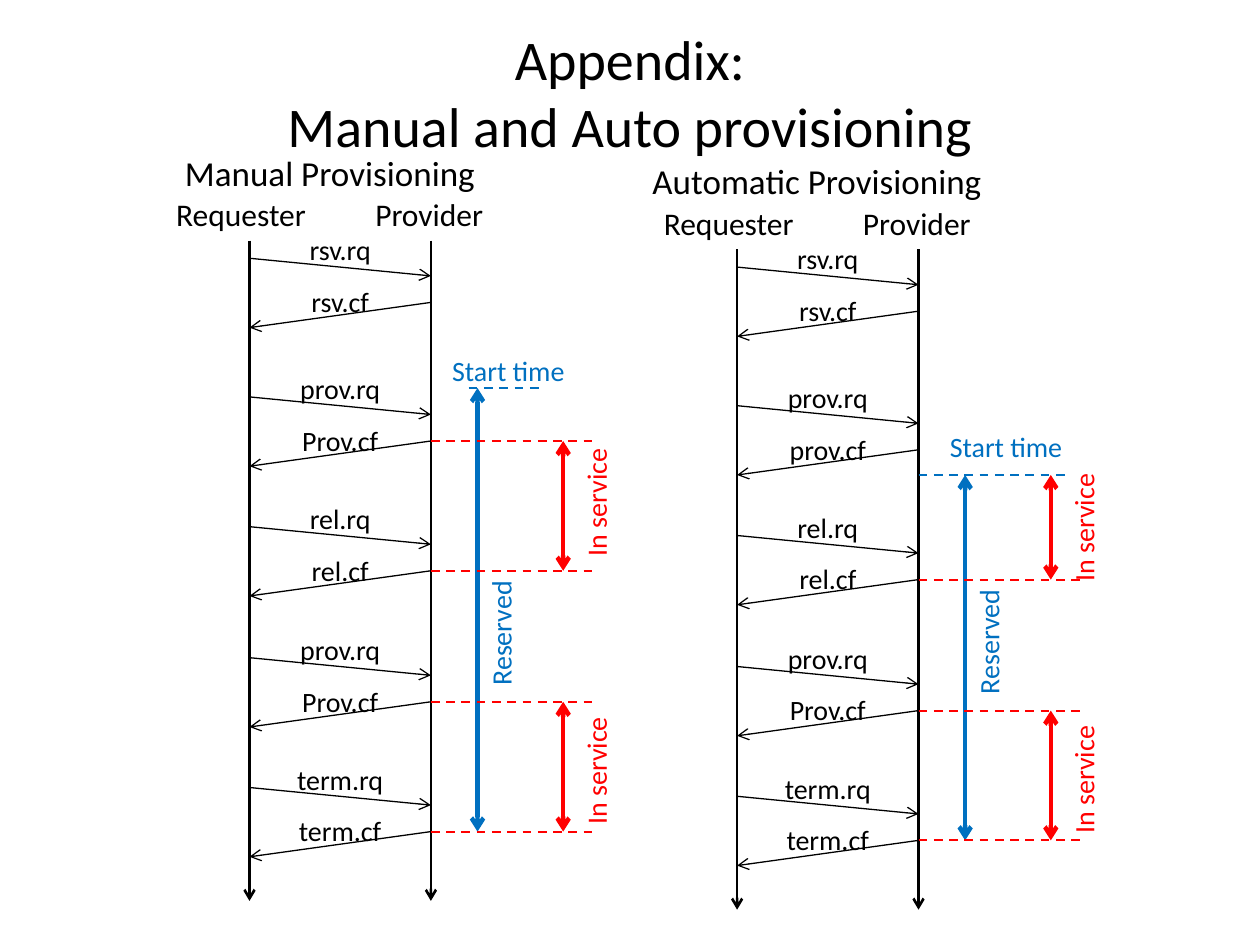
from lxml.etree import SubElement
from pptx import Presentation
from pptx.dml.color import RGBColor
from pptx.enum.dml import MSO_LINE
from pptx.enum.shapes import MSO_CONNECTOR
from pptx.enum.text import MSO_ANCHOR, MSO_AUTO_SIZE, PP_ALIGN
from pptx.oxml.ns import qn
from pptx.util import Inches, Pt

BLACK = RGBColor(0x00, 0x00, 0x00)
BLUE = RGBColor(0x00, 0x70, 0xC0)
RED = RGBColor(0xFF, 0x00, 0x00)
FONT = "Calibri"


def add_line(group, x1, y1, x2, y2, color, width, ends=(), dashed=False):
    """Straight line; ends lists the ends ("headEnd", "tailEnd") with an arrow."""
    line = group.shapes.add_connector(
        MSO_CONNECTOR.STRAIGHT, Inches(x1), Inches(y1), Inches(x2), Inches(y2))
    line.line.color.rgb = color
    line.line.width = Pt(width)
    if dashed:
        line.line.dash_style = MSO_LINE.DASH
    properties = line.line._get_or_add_ln()
    for end in ends:
        SubElement(properties, qn(f"a:{end}"), type="arrow")
    SubElement(line._element.spPr, qn("a:effectLst"))


def add_label(group, text, x, y, width, height, size=16, color=BLACK,
              align=PP_ALIGN.LEFT, upright=False):
    label = group.shapes.add_textbox(
        Inches(x), Inches(y), Inches(width), Inches(height))
    frame = label.text_frame
    frame.word_wrap = True
    frame.auto_size = MSO_AUTO_SIZE.SHAPE_TO_FIT_TEXT
    if upright:
        label.rotation = 270
        frame.margin_left = frame.margin_right = Inches(0.05)
    frame.text = text
    paragraph = frame.paragraphs[0]
    paragraph.alignment = align
    font = paragraph.runs[0].font
    font.name, font.size, font.color.rgb = FONT, Pt(size), color


prs = Presentation()
prs.slide_width, prs.slide_height = Inches(10), Inches(7.5)
slide = prs.slides.add_slide(prs.slide_layouts[5])

# Title
title = slide.shapes.title
title.left, title.top = Inches(0.5), Inches(0.3)
title.width, title.height = Inches(9), Inches(0.85)
title.text_frame.text = "Appendix:\vManual and Auto provisioning"
title.text_frame.auto_size = MSO_AUTO_SIZE.NONE
title.text_frame.vertical_anchor = MSO_ANCHOR.MIDDLE
title.text_frame.paragraphs[0].alignment = PP_ALIGN.CENTER
for run in title.text_frame.paragraphs[0].runs:
    run.font.name, run.font.size, run.font.color.rgb = FONT, Pt(32), BLACK

# Request heights and reply offset, shared by both diagrams
REQUESTS = [2.05, 3.15, 4.18, 5.22, 6.25]
REPLY_GAP = 0.35
REPLIES = [y + REPLY_GAP for y in REQUESTS]
BOTH_ENDS = ("headEnd", "tailEnd")

# Offsets from the manual diagram, then what differs between the two
diagrams = [
    dict(dx=0, dy=0, heading="Manual Provisioning", heading_x=1.37,
         heading_width=2.8, first_prov_cf="Prov.cf",
         start=3.08, start_line=(3.72, 4.32), start_label=(3.49, 2.76),
         service_start=REPLIES[1], service_label=3.77),
    dict(dx=3.87, dy=0.07, heading="Automatic Provisioning", heading_x=1.21,
         heading_width=2.92, first_prov_cf="prov.cf",
         start=3.7, start_line=(3.42, 4.63), start_label=(3.57, 3.29),
         service_start=3.7, service_label=3.9),
]

for diagram in diagrams:
    dx, dy = diagram["dx"], diagram["dy"]
    group = slide.shapes.add_group_shape()
    requester, provider = 1.98 + dx, 3.42 + dx

    # Heading and lifelines
    add_label(group, diagram["heading"], diagram["heading_x"] + dx, 1.15 + dy,
              diagram["heading_width"], 0.38, size=20)
    for role, lifeline, label_x in [("Requester", requester, 1.3),
                                    ("Provider", provider, 2.88)]:
        add_line(group, lifeline, 1.91 + dy, lifeline, 7.15 + dy, BLACK, 1.5,
                 ["tailEnd"])
        add_label(group, role, label_x + dx, 1.5 + dy, 1.28, 0.35, size=18)

    # Messages: a request to the right, then its reply to the left
    messages = [("rsv.rq", "rsv.cf"), ("prov.rq", diagram["first_prov_cf"]),
                ("rel.rq", "rel.cf"), ("prov.rq", "Prov.cf"),
                ("term.rq", "term.cf")]
    for (request, reply), base in zip(messages, REQUESTS):
        y = base + dy
        reply_y = y + REPLY_GAP
        add_line(group, requester, y, provider, y + 0.14, BLACK, 0.75, ["tailEnd"])
        add_line(group, provider, reply_y, requester, reply_y + 0.2, BLACK, 0.75,
                 ["tailEnd"])
        for text, label_y in [(request, y - 0.25), (reply, y + 0.16)]:
            add_label(group, text, 2.21 + dx, label_y, 0.98, 0.32,
                      align=PP_ALIGN.CENTER)

    # Reserved period, from the start time to the last reply
    start = diagram["start"] + dy
    line_left, line_right = diagram["start_line"]
    label_x, label_y = diagram["start_label"]
    add_line(group, line_left + dx, start, line_right + dx, start, BLUE, 1.25,
             dashed=True)
    add_line(group, 3.79 + dx, start, 3.79 + dx, REPLIES[4] + dy, BLUE, 2.5,
             BOTH_ENDS)
    add_label(group, "Start time", label_x + dx, label_y + dy, 1.28, 0.32,
              color=BLUE)
    add_label(group, "Reserved", 3.45 + dx, 4.8 + dy, 1.03, 0.35, color=BLUE,
              upright=True)

    # In-service periods, bounded by dashed lines at the replies
    periods = [(diagram["service_start"], REPLIES[2], diagram["service_label"]),
               (REPLIES[3], REPLIES[4], 5.9)]
    for begin, end, label_y in periods:
        for bound in (begin, end):
            if bound != diagram["start"]:
                add_line(group, provider, bound + dy, 4.7 + dx, bound + dy, RED,
                         1.25, dashed=True)
        add_line(group, 4.47 + dx, begin + dy, 4.47 + dx, end + dy, RED, 2.5,
                 BOTH_ENDS)
        add_label(group, "In service", 4.21 + dx, label_y + dy, 1.03, 0.36,
                  color=RED, upright=True)

prs.save("out.pptx")
